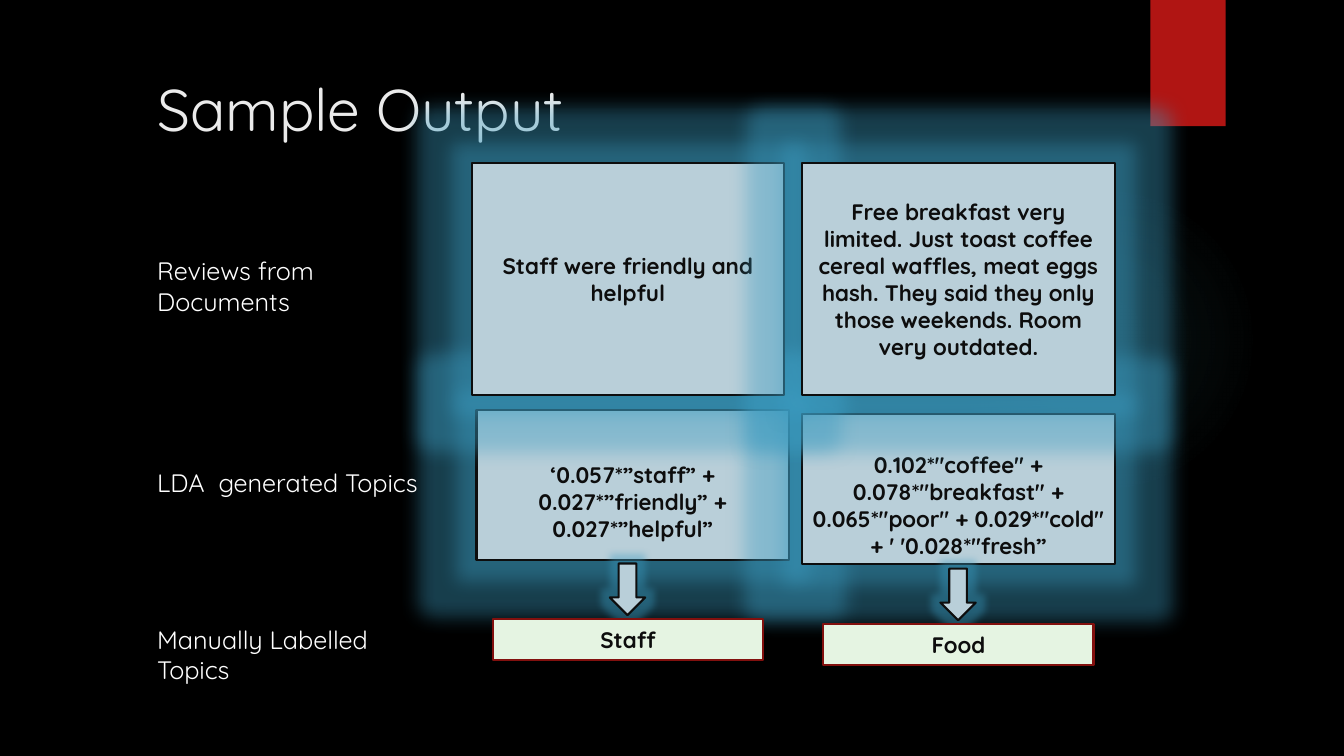
"""Builds the sample topic-model output slide."""
from dataclasses import dataclass

from lxml import etree
from pptx import Presentation
from pptx.dml.color import RGBColor
from pptx.enum.shapes import MSO_SHAPE
from pptx.enum.text import MSO_ANCHOR, PP_ALIGN
from pptx.oxml import parse_xml
from pptx.oxml.ns import nsdecls, qn
from pptx.util import Cm, Pt

RECT, ELLIPSE, ARROW = MSO_SHAPE.RECTANGLE, MSO_SHAPE.OVAL, MSO_SHAPE.DOWN_ARROW
TOP, MIDDLE = MSO_ANCHOR.TOP, MSO_ANCHOR.MIDDLE
LEFT, CENTER = PP_ALIGN.LEFT, PP_ALIGN.CENTER


@dataclass(frozen=True)
class Theme:
    """Colours, font and type sizes of the slide."""
    font: str = "Quicksand"
    background: str = "000000"
    title: str = "EBEBEB"
    label: str = "FFFFFF"
    ink: str = "0D0D0D"
    panel: str = "B9CFD9"
    tag: str = "E5F4E2"
    tag_line: str = "82100E"
    ribbon: str = "B01513"
    halo: str = "50B9C1"
    glow: str = "3B9BC0"
    title_size: int = 42
    label_size: int = 18
    body_size: int = 16
    line_width: float = 1.5


@dataclass(frozen=True)
class Box:
    """Place and size in centimetres."""
    left: float
    top: float
    width: float
    height: float


@dataclass(frozen=True)
class Block:
    """A filled shape with centred text."""
    box: Box
    lines: tuple[str, ...] = ()
    kind: int = RECT
    fill: str = "B9CFD9"
    line: str = "0D0D0D"
    glow: float = 0
    drop: float = 0


@dataclass(frozen=True)
class Label:
    """Plain text on the background."""
    box: Box
    text: str
    size: int
    color: str


T = Theme()
PANEL_GLOW, ARROW_GLOW = 27, 11
COLUMNS = (11.89, 20.22)
REVIEWS = (
    "Staff were friendly and helpful",
    "Free breakfast very limited. Just toast coffee cereal waffles, meat eggs "
    "hash. They said they only those weekends. Room very outdated.",
)
TOPICS = (
    (12.01, 10.34, ("‘0.057*”staff” +", "0.027*”friendly” +", "0.027*”helpful”")),
    (20.22, 10.44, ('0.102*"coffee" + 0.078*"breakfast" + 0.065*"poor" + '
                    '0.029*"cold" + \' \'0.028*"fresh”',)),
)
ARROWS = ((15.37, 14.2), (23.7, 14.33))
TAGS = ((12.42, 15.6, "Staff"), (20.75, 15.72, "Food"))

BLOCKS = (
    *(Block(Box(x, y, 7.87, 3.78), lines, glow=PANEL_GLOW, drop=0.8)
      for x, y, lines in TOPICS),
    *(Block(Box(x, 4.11, 7.87, 5.84), (text,), glow=PANEL_GLOW)
      for x, text in zip(COLUMNS, REVIEWS)),
    *(Block(Box(x, y, 0.89, 1.3), kind=ARROW, glow=ARROW_GLOW) for x, y in ARROWS),
    *(Block(Box(x, y, 6.81, 1.04), (text,), fill=T.tag, line=T.tag_line)
      for x, y, text in TAGS),
)
LABELS = (
    Label(Box(3.71, 1.7, 23.88, 3.66), "Sample Output", T.title_size, T.title),
    *(Label(Box(3.71, y, 7.34, 1.02), text, T.label_size, T.label)
      for y, text in ((6.32, "Reviews from Documents"),
                      (11.66, "LDA  generated Topics"),
                      (15.6, "Manually Labelled Topics"))),
)


def place(box: Box) -> tuple[Cm, Cm, Cm, Cm]:
    """Return the box as lengths."""
    return Cm(box.left), Cm(box.top), Cm(box.width), Cm(box.height)


def add_effect(sp, name: str, color: str, alpha: int, **attrs: int) -> None:
    """Put one effect in the shape's effect list."""
    effects = sp._element.spPr.find(qn("a:effectLst"))
    effect = etree.SubElement(effects, qn(f"a:{name}"))
    for key, value in attrs.items():
        effect.set(key, str(value))
    tint = etree.SubElement(effect, qn("a:srgbClr"), val=color)
    etree.SubElement(tint, qn("a:alpha"), val=str(alpha * 1000))


def add_plain(slide, kind: int, box: Box, fill: str):
    """Add a filled shape without line or shadow."""
    sp = slide.shapes.add_shape(kind, *place(box))
    sp.shadow.inherit = False
    sp.fill.solid()
    sp.fill.fore_color.rgb = RGBColor.from_string(fill)
    sp.line.fill.background()
    return sp


def add_halo(slide) -> None:
    """Add the faint round light behind the panels."""
    sp = add_plain(slide, ELLIPSE, Box(23.9, 4.65, 7.82, 7.82), T.halo)
    stops = "".join(
        f'<a:gs pos="{pos * 1000}"><a:srgbClr val="{T.halo}">'
        f'<a:alpha val="{alpha * 1000}"/></a:srgbClr></a:gs>'
        for pos, alpha in ((0, 7), (36, 6), (69, 0)))
    gradient = parse_xml(
        f'<a:gradFill {nsdecls("a")}><a:gsLst>{stops}</a:gsLst>'
        '<a:path path="circle"><a:fillToRect l="50000" t="50000" '
        'r="50000" b="50000"/></a:path></a:gradFill>')
    spPr = sp._element.spPr
    spPr.replace(spPr.find(qn("a:solidFill")), gradient)


def write(tf, lines: tuple[str, ...], size: int, color: str, bold: bool,
          align: int, anchor: int) -> None:
    """Write one paragraph for each line."""
    tf.word_wrap = True
    tf.vertical_anchor = anchor
    for i, line in enumerate(lines):
        p = tf.add_paragraph() if i else tf.paragraphs[0]
        p.alignment = align
        r = p.add_run()
        r.text = line
        r.font.name = T.font
        r.font.size = Pt(size)
        r.font.bold = bold
        r.font.color.rgb = RGBColor.from_string(color)


def add_block(slide, block: Block) -> None:
    """Add a panel, arrow or tag."""
    sp = add_plain(slide, block.kind, block.box, block.fill)
    sp.line.color.rgb = RGBColor.from_string(block.line)
    sp.line.width = Pt(T.line_width)
    if block.glow:
        add_effect(sp, "glow", T.glow, 40, rad=Pt(block.glow))
    if block.drop:
        sp.text_frame.margin_top = Cm(block.drop)
        sp.text_frame.margin_bottom = Cm(0)
    write(sp.text_frame, block.lines, T.body_size, T.ink, True, CENTER, MIDDLE)


def add_label(slide, label: Label) -> None:
    """Add a text box."""
    sp = slide.shapes.add_textbox(*place(label.box))
    write(sp.text_frame, (label.text,), label.size, label.color, False, LEFT, TOP)


def main() -> None:
    """Build and save the slide."""
    prs = Presentation()
    prs.slide_width, prs.slide_height = Cm(33.87), Cm(19.05)
    slide = prs.slides.add_slide(prs.slide_layouts[6])
    slide.background.fill.solid()
    slide.background.fill.fore_color.rgb = RGBColor.from_string(T.background)
    add_halo(slide)
    ribbon = add_plain(slide, RECT, Box(28.99, 0, 1.9, 3.18), T.ribbon)
    add_effect(ribbon, "outerShdw", T.background, 45,
               blurRad=Pt(3), dist=Pt(2), dir=5400000)
    title, *row_labels = LABELS
    add_label(slide, title)
    for block in BLOCKS:
        add_block(slide, block)
    for label in row_labels:
        add_label(slide, label)


    prs.save("out.pptx")


if __name__ == "__main__":
    main()
